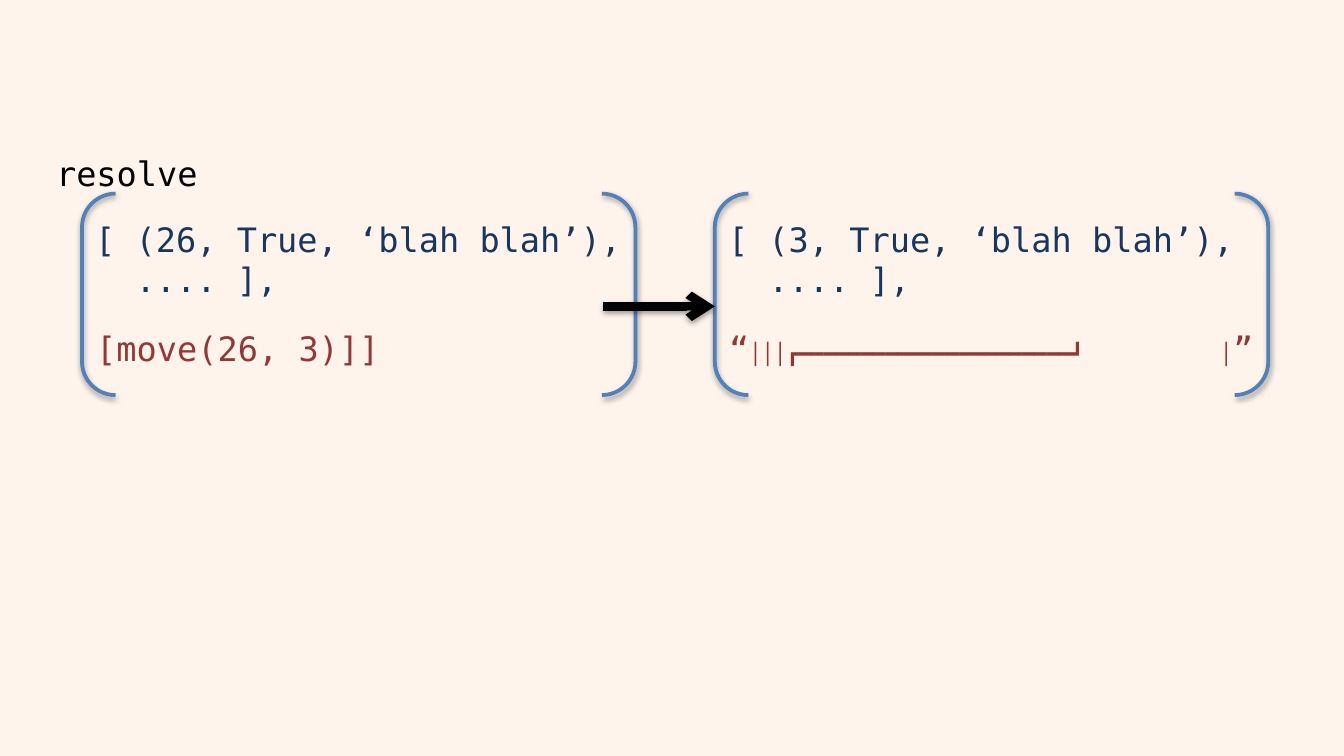
"""Build a slide showing how resolve maps one state and move list to the next."""
import dataclasses

import lxml.etree
import pptx
import pptx.dml.color
import pptx.enum.shapes
import pptx.oxml
import pptx.oxml.ns
import pptx.util

Cm, Pt = pptx.util.Cm, pptx.util.Pt
RGB = pptx.dml.color.RGBColor.from_string
qn = pptx.oxml.ns.qn


@dataclasses.dataclass(frozen=True)
class Theme:
    font: str = "DejaVu Sans Mono"
    background: str = "FEF4EC"
    name: str = "000000"
    state: str = "17375E"
    moves: str = "953735"
    bracket: str = "4F81BD"
    arrow: str = "000000"
    body: int = 18
    trace: int = 11


theme = Theme()
SHADOW = (
    '<a:effectLst xmlns:a="http://schemas.openxmlformats.org/drawingml/2006/main">'
    '<a:outerShdw blurRad="40000" dist="20000" dir="5400000" rotWithShape="0">'
    '<a:srgbClr val="000000"><a:alpha val="38000"/></a:srgbClr>'
    '</a:outerShdw></a:effectLst>'
)


def add_text(left, top, height, lines, color):
    tf = s.shapes.add_textbox(Cm(left), Cm(top), Cm(10.82), Cm(height)).text_frame
    tf.word_wrap = True
    for i, runs in enumerate(lines):
        p = tf.add_paragraph() if i else tf.paragraphs[0]
        for text, size in runs:
            r = p.add_run()
            r.text = text
            for key, value in {"name": theme.font, "size": Pt(size)}.items():
                setattr(r.font, key, value)
            r.font.color.rgb = RGB(color)


def set_line(sp, color, width):
    sp.line.color.rgb = RGB(color)
    sp.line.width = Pt(width)
    props = sp._element.spPr
    for old in props.findall(qn("a:effectLst")):
        props.remove(old)
    props.append(pptx.oxml.parse_xml(SHADOW))


prs = pptx.Presentation()
prs.slide_width, prs.slide_height = Cm(25.4), Cm(14.29)
s = prs.slides.add_slide(prs.slide_layouts[6])
s.background.fill.solid()
s.background.fill.fore_color.rgb = RGB(theme.background)

add_text(0.81, 2.77, 1.02, [[("resolve", theme.body)]], theme.name)

panels = [
    (1.55, "[ (26, True, ‘blah blah’),", [("[move(26, 3)]]", theme.body)]),
    (13.51, "[ (3, True, ‘blah blah’),", [
        ("“", theme.body),
        ("│││┏━━━━━━━━━━━━━━━━━━━━━━┛           │", theme.trace),
        ("”", theme.body),
    ]),
]
for left, state, moves in panels:
    lines = [[(state, theme.body)], [("  .... ],", theme.body)]]
    add_text(left, 4.01, 1.8, lines, theme.state)
    add_text(left + 0.02, 6.07, 1.02, [moves], theme.moves)
    sp = s.shapes.add_shape(pptx.enum.shapes.MSO_SHAPE.DOUBLE_BRACKET,
                            Cm(left), Cm(3.66), Cm(10.46), Cm(3.81))
    sp.fill.background()
    set_line(sp, theme.bracket, 2)

arrow = s.shapes.add_connector(pptx.enum.shapes.MSO_CONNECTOR.STRAIGHT,
                               Cm(11.4), Cm(5.79), Cm(13.51), Cm(5.79))
set_line(arrow, theme.arrow, 4.5)
lxml.etree.SubElement(arrow.line._get_or_add_ln(), qn("a:tailEnd"), type="arrow")

prs.save("out.pptx")
